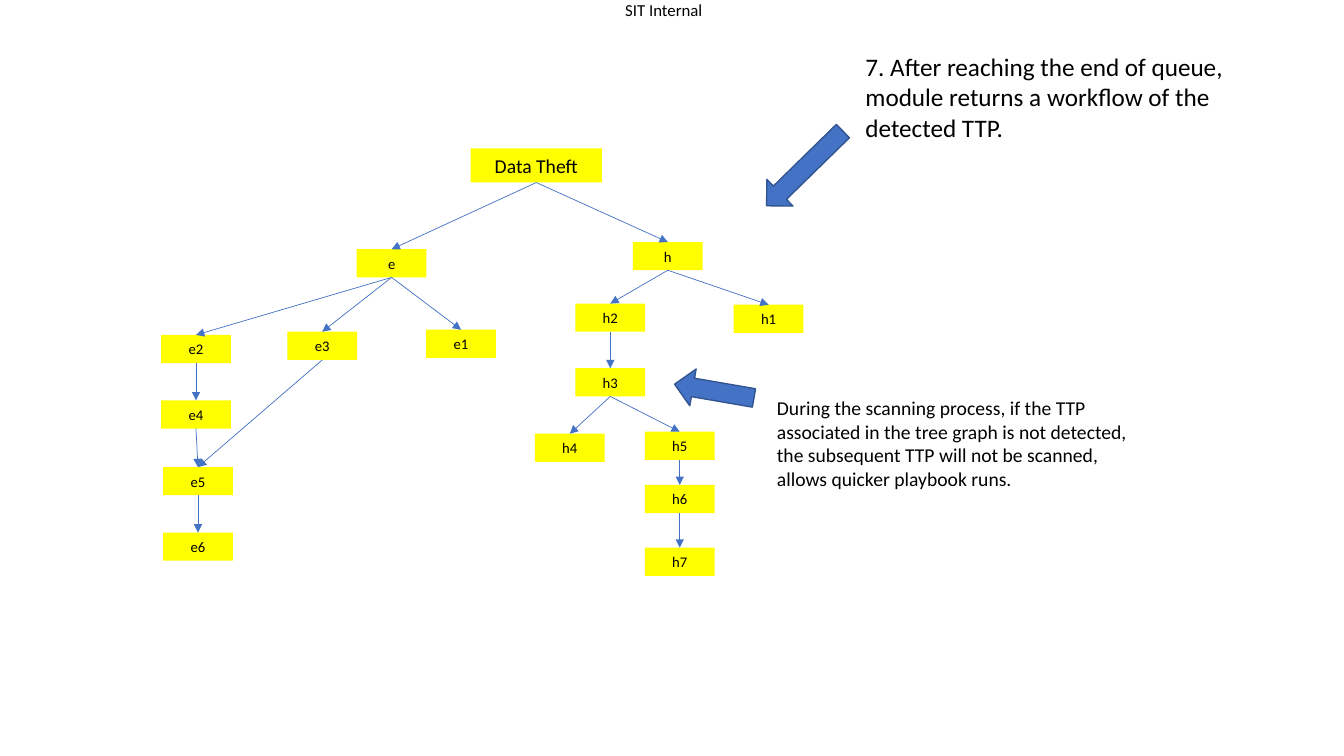
import pptx
import pptx.util
import pptx.dml.color
import pptx.enum.shapes
import pptx.enum.text
import pptx.oxml
import pptx.oxml.ns
from pptx.util import Cm

YELLOW = pptx.dml.color.RGBColor(0xFF, 0xFF, 0x00)
BLUE = pptx.dml.color.RGBColor(0x44, 0x72, 0xC4)
DARK_BLUE = pptx.dml.color.RGBColor(0x32, 0x54, 0x91)
BLACK = pptx.dml.color.RGBColor(0x00, 0x00, 0x00)
FONT = "Calibri"
CENTER = pptx.enum.text.PP_ALIGN.CENTER
LEFT = pptx.enum.text.PP_ALIGN.LEFT
SHAPES = pptx.enum.shapes.MSO_SHAPE

# Connection sites of a rectangle
TOP_SITE, BOTTOM_SITE = 0, 2

ROOT = "Data Theft"
ROOT_SIZE = (3.31, 0.86)
NODE_SIZE = (1.76, 0.71)

# Left and top of each node within the tree, in cm
NODES = {
    ROOT: (7.8, 0),
    "e": (4.93, 2.54), "e1": (6.68, 4.57), "e2": (0, 4.7), "e3": (3.18, 4.62),
    "e4": (0, 6.35), "e5": (0.05, 8.03), "e6": (0.05, 9.68),
    "h": (11.89, 2.36), "h1": (14.43, 3.94), "h2": (10.44, 3.91),
    "h3": (10.44, 5.54), "h4": (9.42, 7.19), "h5": (12.19, 7.14),
    "h6": (12.19, 8.48), "h7": (12.19, 10.06),
}
CHILDREN = {
    ROOT: ["e", "h"],
    "e": ["e3", "e1", "e2"], "e2": ["e4"], "e3": ["e5"],
    "e4": ["e5"], "e5": ["e6"],
    "h": ["h2", "h1"], "h2": ["h3"], "h3": ["h4", "h5"],
    "h5": ["h6"], "h6": ["h7"],
}


def write_text(shape, text, size, alignment):
    shape.text_frame.text = text
    paragraph = shape.text_frame.paragraphs[0]
    paragraph.alignment = alignment
    paragraph.font.name = FONT
    paragraph.font.size = pptx.util.Pt(size)
    paragraph.font.color.rgb = BLACK


def add_node(slide, text, left, top):
    width, height = ROOT_SIZE if text == ROOT else NODE_SIZE
    node = slide.shapes.add_shape(
        SHAPES.RECTANGLE, Cm(left), Cm(top), Cm(width), Cm(height))
    node.shadow.inherit = False
    node.fill.solid()
    node.fill.fore_color.rgb = YELLOW
    node.line.fill.background()
    node.text_frame.vertical_anchor = pptx.enum.text.MSO_ANCHOR.MIDDLE
    write_text(node, text, 14 if text == ROOT else 10.5, CENTER)
    return node


def add_link(slide, parent, child):
    link = slide.shapes.add_connector(
        pptx.enum.shapes.MSO_CONNECTOR.STRAIGHT, 0, 0, 0, 0)
    link.begin_connect(parent, BOTTOM_SITE)
    link.end_connect(child, TOP_SITE)
    link.line.color.rgb = BLUE
    link.line.width = pptx.util.Pt(0.5)
    arrowhead = pptx.oxml.parse_xml(
        f'<a:tailEnd {pptx.oxml.ns.nsdecls("a")} type="triangle"/>')
    link.line._get_or_add_ln().append(arrowhead)
    link._element.spPr.append(pptx.oxml.parse_xml(
        f'<a:effectLst {pptx.oxml.ns.nsdecls("a")}/>'))


def add_tree(slide, left, top):
    nodes = {text: add_node(slide, text, left + x, top + y)
             for text, (x, y) in NODES.items()}
    for parent, children in CHILDREN.items():
        for child in children:
            add_link(slide, nodes[parent], nodes[child])


def add_text_box(slide, box, text, size, alignment=LEFT):
    text_box = slide.shapes.add_textbox(*(Cm(length) for length in box))
    text_box.text_frame.word_wrap = True
    write_text(text_box, text, size, alignment)
    return text_box


def add_note(slide, box, text, size, arrow_box, rotation):
    """Place a note, and a block arrow relative to its top left corner."""
    add_text_box(slide, box, text, size)
    x, y, width, height = arrow_box
    arrow = slide.shapes.add_shape(
        SHAPES.DOWN_ARROW, Cm(box[0] + x), Cm(box[1] + y), Cm(width), Cm(height))
    arrow.rotation = rotation
    arrow.shadow.inherit = False
    arrow.fill.solid()
    arrow.fill.fore_color.rgb = BLUE
    arrow.line.color.rgb = DARK_BLUE
    arrow.line.width = pptx.util.Pt(1)


def add_header(slide, box):
    header = add_text_box(slide, box, "SIT Internal", 12, CENTER)
    frame = header.text_frame
    frame.word_wrap = False
    frame.margin_left = frame.margin_right = 0
    frame.margin_top = frame.margin_bottom = 0


def main():
    presentation = pptx.Presentation()
    presentation.slide_width = Cm(33.87)
    presentation.slide_height = Cm(19.05)
    slide = presentation.slides.add_slide(presentation.slide_layouts[6])

    # Classification label
    add_header(slide, (15.7, 0, 2.06, 0.51))

    # Tree of detected techniques
    add_tree(slide, 4.06, 3.74)

    # Notes with block arrows
    add_note(slide, (21.56, 1.17, 11.23, 2.57),
             "7. After reaching the end of queue, module returns a workflow "
             "of the detected TTP.",
             18, (-1.75, 1.73, 0.94, 2.69), 45.6)
    add_note(slide, (19.33, 9.86, 9.86, 2.64),
             "During the scanning process, if the TTP associated in the tree "
             "graph is not detected, the subsequent TTP will not be scanned, "
             "allows quicker playbook runs.",
             14, (-1.8, -1.02, 0.94, 2.03), 99.8)

    presentation.save("out.pptx")


if __name__ == "__main__":
    main()
